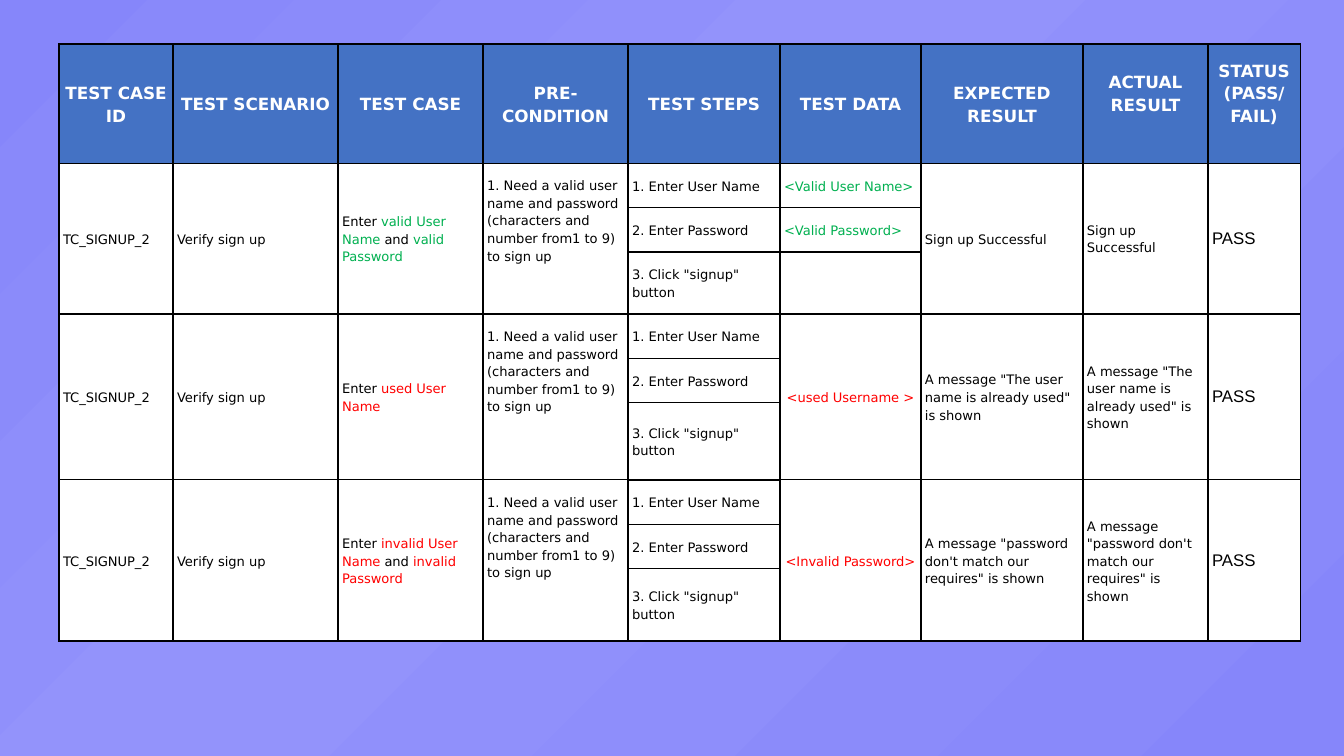
from copy import deepcopy
from dataclasses import dataclass

from lxml import etree
from pptx import Presentation
from pptx.dml.color import RGBColor
from pptx.enum.text import MSO_ANCHOR, PP_ALIGN
from pptx.oxml.ns import qn
from pptx.util import Pt

MIDDLE, TOP, BOTTOM = MSO_ANCHOR.MIDDLE, MSO_ANCHOR.TOP, MSO_ANCHOR.BOTTOM
LEFT, CENTER = PP_ALIGN.LEFT, PP_ALIGN.CENTER
PLAIN_GRID = "{2D5ABB26-0587-4C30-8999-92F81FD0307C}"


@dataclass(frozen=True)
class Theme:
    head: str = "4472C4"
    white: str = "FFFFFF"
    black: str = "000000"
    good: str = "00B050"
    bad: str = "FF0000"
    back: tuple = ((0, "8686FA"), (0.58, "9393FB"), (1, "8686FA"))
    font: str = "DejaVu Sans"
    alt: str = "Arial"
    small: float = 7
    large: float = 9
    thin: float = 0.75
    thick: float = 1.5


T = Theme()

WIDTHS = (61.1, 88.4, 77.7, 77.7, 81.4, 75.5, 86.8, 67, 49.4)
HEIGHTS = (63.8, 23.8, 23.8, 28.8, 23.8, 23.8, 41.2, 23.8, 23.8, 38.8)
HEADS = ("TEST CASE ID", "TEST SCENARIO", "TEST CASE", "PRE-CONDITION",
         "TEST STEPS", "TEST DATA", "EXPECTED\nRESULT", "ACTUAL\nRESULT",
         "STATUS (PASS/\nFAIL)")
RAISED = HEADS[-2:]
NEED = ("1. Need a valid user name and password "
        "(characters and number from1 to 9) to sign up")
STEPS = ("1. Enter User Name", "2. Enter Password", '3. Click "signup" button')
SPAN = len(STEPS)
# Case wording, its accent colour, test data and result
CASES = (
    (("Enter ", "valid User Name", " and ", "valid Password"), T.good,
     ("<Valid User Name>", "<Valid Password>", ""), "Sign up Successful"),
    (("Enter ", "used User Name"), T.bad, ("<used Username >",),
     'A message "The user name is already used" is shown'),
    (("Enter ", "invalid User Name", " and ", "invalid Password"), T.bad,
     ("<Invalid Password>",),
     'A message "password don\'t match our requires" is shown'),
)


def paint(slide):
    """Fill the background with the diagonal gradient."""
    fill = slide.background.fill
    fill.gradient()
    fill.gradient_angle = 135
    stops = slide.element.find(".//" + qn("a:gsLst"))
    stops.append(deepcopy(stops[0]))
    for stop, (place, color) in zip(fill.gradient_stops, T.back):
        stop.position = place
        stop.color.rgb = RGBColor.from_string(color)


def edge(cell, heavy):
    """Draw all four borders; sides named in heavy are thick."""
    props = cell._tc.get_or_add_tcPr()
    for spot, side in enumerate("LRTB"):
        width = T.thick if side in heavy else T.thin
        line = etree.Element(qn("a:ln" + side), w=str(int(Pt(width))))
        solid = etree.SubElement(line, qn("a:solidFill"))
        etree.SubElement(solid, qn("a:srgbClr"), val=T.black)
        props.insert(spot, line)


def write(cell, parts, accent=T.black, size=T.small, font=T.font, bold=False,
          align=LEFT, anchor=MIDDLE, space=1.15, fill=T.white, heavy=""):
    """Set a cell's text; every second part takes the accent colour."""
    cell.fill.solid()
    cell.fill.fore_color.rgb = RGBColor.from_string(fill)
    edge(cell, heavy)
    cell.vertical_anchor = anchor
    cell.margin_left = cell.margin_right = Pt(2.2)
    cell.margin_top = cell.margin_bottom = Pt(7.2)
    frame = cell.text_frame
    frame.text = parts[0]
    for part in parts[1:]:
        frame.paragraphs[0].add_run().text = part
    for para in frame.paragraphs:
        para.alignment = align
        para.line_spacing = space
        for spot, run in enumerate(para.runs):
            run.font.size = Pt(size)
            run.font.name = font
            run.font.bold = bold
            color = accent if spot % 2 or len(parts) == 1 else T.black
            run.font.color.rgb = RGBColor.from_string(color)
        if not para.runs:
            end = etree.SubElement(para._p, qn("a:endParaRPr"))
            end.set("sz", str(int(size * 100)))


def fill_head(table):
    for col, text in enumerate(HEADS):
        cell = table.cell(0, col)
        write(cell, (text,), T.white, T.large, bold=True, align=CENTER,
              fill=T.head)
        if text in RAISED:
            cell.margin_bottom = Pt(19)


def fill_case(table, index, case):
    parts, accent, data, result = case
    row = 1 + index * SPAN
    last = index == len(CASES) - 1
    foot = "B" if last else ""

    def tall(col, text, **style):
        cell = table.cell(row, col)
        cell.merge(table.cell(row + SPAN - 1, col))
        write(cell, text, **style)

    tall(0, ("TC_SIGNUP_2",))
    tall(1, ("Verify sign up",), heavy=foot)
    tall(2, parts, accent=accent, heavy=foot)
    tall(3, (NEED,), anchor=TOP)
    for step, text in enumerate(STEPS):
        heavy = "T" if step == 0 and index else "B" if step == SPAN - 1 else ""
        write(table.cell(row + step, 4), (text,), heavy=heavy)
    if len(data) == 1:
        tall(5, data, accent=accent, align=CENTER, heavy=foot)
    else:
        for step, text in enumerate(data):
            write(table.cell(row + step, 5), (text,), accent, anchor=BOTTOM)
    for col in (6, 7):
        tall(col, (result,), heavy=foot)
    tall(8, ("PASS",), size=T.large, font=T.alt, space=1.0, heavy=foot)


def add_grid(slide):
    frame = slide.shapes.add_table(
        len(HEIGHTS), len(WIDTHS), Pt(31.6), Pt(23.6),
        Pt(sum(WIDTHS)), Pt(sum(HEIGHTS)))
    table = frame.table
    table.first_row = table.horz_banding = False
    table._tbl.tblPr.find(qn("a:tableStyleId")).text = PLAIN_GRID
    for col, width in zip(table.columns, WIDTHS):
        col.width = Pt(width)
    for row, height in zip(table.rows, HEIGHTS):
        row.height = Pt(height)
    return table


def main():
    deck = Presentation()
    deck.slide_width, deck.slide_height = Pt(720), Pt(405)
    slide = deck.slides.add_slide(deck.slide_layouts[6])
    paint(slide)
    table = add_grid(slide)
    fill_head(table)
    for index, case in enumerate(CASES):
        fill_case(table, index, case)
    deck.save("out.pptx")


if __name__ == "__main__":
    main()
